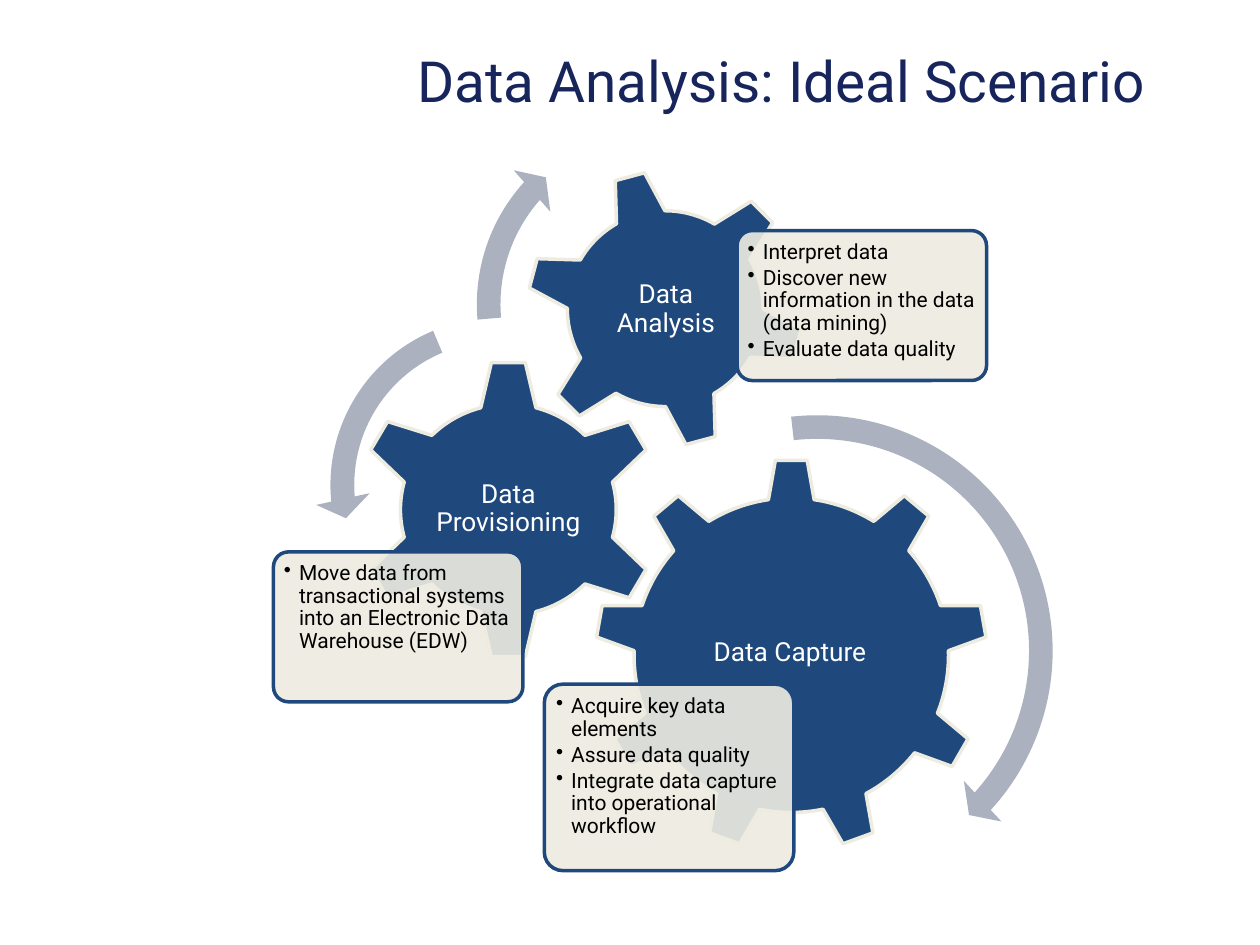
from dataclasses import dataclass

from lxml import etree
from pptx import Presentation
from pptx.dml.color import RGBColor
from pptx.enum.shapes import MSO_SHAPE
from pptx.enum.text import MSO_ANCHOR, MSO_AUTO_SIZE, PP_ALIGN
from pptx.oxml.ns import qn
from pptx.util import Inches, Pt

GEAR_6, GEAR_9 = MSO_SHAPE.GEAR_6, MSO_SHAPE.GEAR_9
CARD = MSO_SHAPE.ROUNDED_RECTANGLE
CLOCKWISE, COUNTER = MSO_SHAPE.CIRCULAR_ARROW, MSO_SHAPE.LEFT_CIRCULAR_ARROW
TOP, MIDDLE = MSO_ANCHOR.TOP, MSO_ANCHOR.MIDDLE
LEFT, CENTER = PP_ALIGN.LEFT, PP_ALIGN.CENTER

Box = tuple[float, float, float, float]  # left, top, width, height in inches


@dataclass(frozen=True)
class Theme:
    font: str = "Roboto"
    title: str = "17255C"
    gear: str = "1F497D"
    cream: str = "EEECE1"
    arrow: str = "ACB1BF"
    label: str = "FFFFFF"
    detail: str = "000000"
    title_size: float = 32.4
    label_size: float = 15
    detail_size: float = 12
    outline: float = 2
    card_opacity: int = 90
    card_corner: float = 0.1


@dataclass(frozen=True)
class Stage:
    name: str
    details: list[str]
    gear: MSO_SHAPE
    gear_box: Box
    label_box: Box
    card_box: Box
    rotation: float = 0


@dataclass(frozen=True)
class Turn:
    kind: MSO_SHAPE
    left: float
    top: float
    size: float
    adjustments: tuple[float, ...]


THEME = Theme()

STAGES = [
    Stage("Data Capture",
          ["Acquire key data elements", "Assure data quality",
           "Integrate data capture into operational workflow"],
          GEAR_9, (4.72, 3.64, 3.12, 3.12), (5.34, 4.38, 1.86, 1.6),
          (4.32, 5.43, 1.98, 1.48)),
    Stage("Data Provisioning",
          ["Move data from transactional systems into an "
           "Electronic Data Warehouse (EDW)"],
          GEAR_6, (2.82, 2.85, 2.43, 2.39), (3.43, 3.45, 1.21, 1.18),
          (2.17, 4.38, 1.98, 1.19)),
    Stage("Data Analysis",
          ["Interpret data",
           "Discover new information in the data (data mining)",
           "Evaluate data quality"],
          GEAR_6, (4.17, 1.34, 2.22, 2.22), (4.66, 1.83, 1.25, 1.25),
          (5.85, 1.83, 1.98, 1.19), rotation=345),
]

# Adjustments: thickness, head angle, end angle, start angle, head width
TURNS = [
    Turn(CLOCKWISE, 4.49, 3.17, 3.99, (0.047, 2.99, 25.356, 158.2, 0.055)),
    Turn(COUNTER, 2.5, 2.4, 2.9, (0.065, 4.3, 104.891, 148.378, 0.075)),
    Turn(CLOCKWISE, 3.66, 0.85, 3.13, (0.06, 3.941, 133.138, 105.082, 0.07)),
]


def write(frame, lines: list[str], *, size: float, color: str, align=LEFT,
          anchor=TOP, inset: float | None = None, spacing: float | None = None,
          after: float = 0, bullets: bool = False) -> None:
    """Fill a text frame with one paragraph per line."""
    frame.word_wrap = True
    frame.auto_size = MSO_AUTO_SIZE.NONE
    frame.vertical_anchor = anchor
    if inset is not None:
        frame.margin_left = frame.margin_right = Inches(inset)
        frame.margin_top = frame.margin_bottom = Inches(inset)
    for index, line in enumerate(lines):
        paragraph = frame.add_paragraph() if index else frame.paragraphs[0]
        paragraph.alignment = align
        paragraph.line_spacing = spacing
        paragraph.space_after = Pt(after)
        run = paragraph.add_run()
        run.text = line
        run.font.name = THEME.font
        run.font.size = Pt(size)
        run.font.color.rgb = RGBColor.from_string(color)
        if bullets:
            paragraph.level = 1
            properties = paragraph._p.get_or_add_pPr()
            properties.set("marL", str(Inches(0.12)))
            properties.set("indent", str(Inches(-0.12)))
            etree.SubElement(properties, qn("a:buChar")).set("char", "•")


def add_figure(shapes, kind: MSO_SHAPE, box: Box, fill: str,
               line: str | None = None, opacity: int = 100):
    """Add a flat preset shape."""
    figure = shapes.add_shape(kind, *map(Inches, box))
    figure.shadow.inherit = False
    figure.fill.solid()
    figure.fill.fore_color.rgb = RGBColor.from_string(fill)
    if opacity < 100:
        color = figure.fill._xPr.find(f".//{qn('a:srgbClr')}")
        etree.SubElement(color, qn("a:alpha")).set("val", str(opacity * 1000))
    if line:
        figure.line.color.rgb = RGBColor.from_string(line)
        figure.line.width = Pt(THEME.outline)
    else:
        figure.line.fill.background()
    return figure


def add_stage(shapes, stage: Stage) -> None:
    """Draw a gear with its label, then its card of details."""
    gear = add_figure(shapes, stage.gear, stage.gear_box, THEME.gear, THEME.cream)
    gear.rotation = stage.rotation
    label = shapes.add_textbox(*map(Inches, stage.label_box))
    write(label.text_frame, [stage.name], size=THEME.label_size,
          color=THEME.label, align=CENTER, anchor=MIDDLE, inset=0.02,
          spacing=0.9, after=0.35 * THEME.label_size)

    card = add_figure(shapes, CARD, stage.card_box, THEME.cream, THEME.gear,
                      THEME.card_opacity)
    card.adjustments[0] = THEME.card_corner
    # The details sit inside the rounded corners
    left, top, width, height = stage.card_box
    gap = 0.29 * THEME.card_corner * height
    inner = (left + gap, top + gap, width - 2 * gap, height - 2 * gap)
    details = shapes.add_textbox(*map(Inches, inner))
    write(details.text_frame, stage.details, size=THEME.detail_size,
          color=THEME.detail, inset=0.05, spacing=0.9,
          after=0.15 * THEME.detail_size, bullets=True)


def add_turn(shapes, turn: Turn) -> None:
    """Draw a curved arrow showing which way a gear turns."""
    arrow = add_figure(shapes, turn.kind,
                       (turn.left, turn.top, turn.size, turn.size), THEME.arrow)
    for index, value in enumerate(turn.adjustments):
        arrow.adjustments[index] = value


def main() -> None:
    deck = Presentation()
    deck.slide_width, deck.slide_height = Inches(10), Inches(7.5)
    slide = deck.slides.add_slide(deck.slide_layouts[5])

    # Title
    title = slide.shapes.title
    title.left, title.top = Inches(3.21), Inches(0.3)
    title.width, title.height = Inches(6.79), Inches(0.67)
    write(title.text_frame, ["Data Analysis: Ideal Scenario"],
          size=THEME.title_size, color=THEME.title, anchor=MIDDLE)

    # Gear diagram
    diagram = slide.shapes.add_group_shape().shapes
    for stage in STAGES:
        add_stage(diagram, stage)
    for turn in TURNS:
        add_turn(diagram, turn)

    deck.save("out.pptx")


if __name__ == "__main__":
    main()
